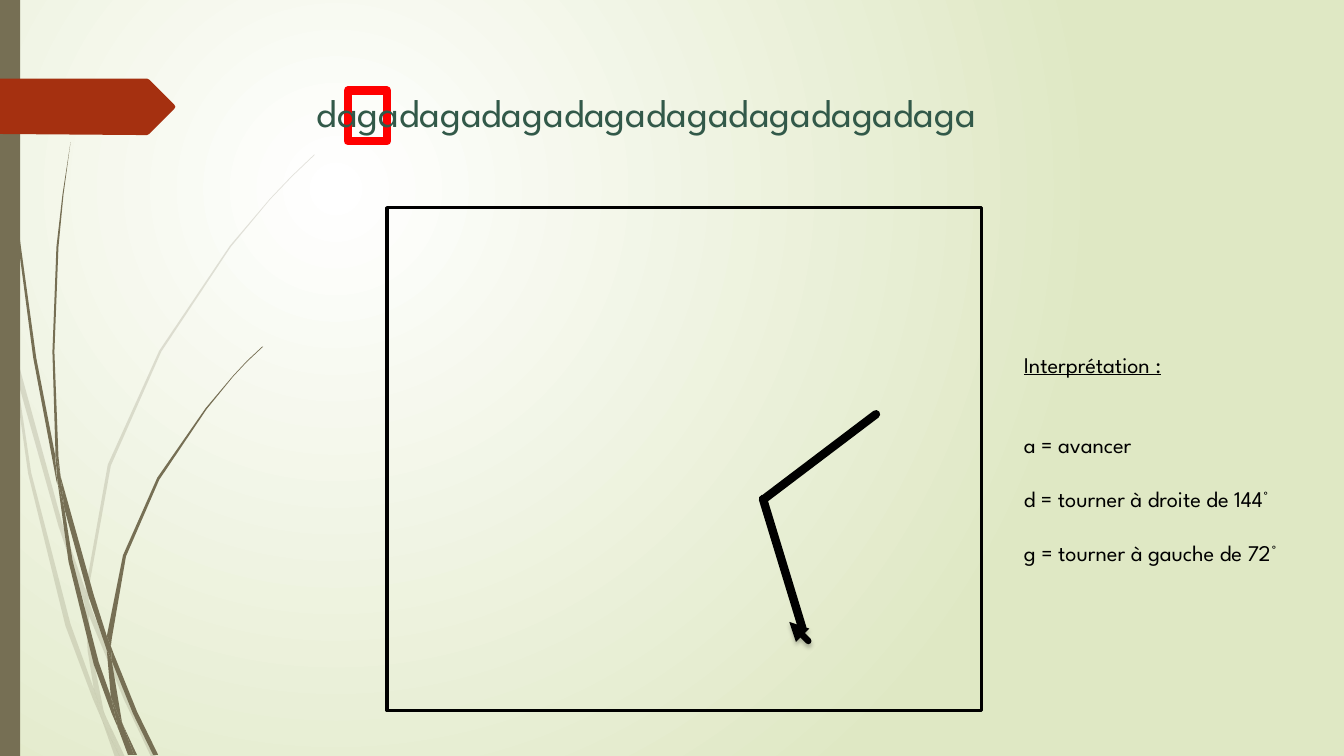
from lxml.etree import SubElement
from pptx import Presentation
from pptx.dml.color import RGBColor
from pptx.enum.shapes import MSO_CONNECTOR, MSO_SHAPE
from pptx.enum.text import PP_ALIGN
from pptx.oxml.ns import qn
from pptx.util import Pt

WHITE = RGBColor(0xFF, 0xFF, 0xFF)
PALE_GREEN = RGBColor(0xDF, 0xE8, 0xC4)
OLIVE = RGBColor(0x76, 0x6F, 0x54)
RUST = RGBColor(0xA5, 0x30, 0x10)
DARK_GREEN = RGBColor(0x32, 0x59, 0x49)
BLACK = RGBColor(0, 0, 0)
RED = RGBColor(0xFF, 0, 0)
FONT = "League Spartan"
GRID = Pt(0.72)  # outline unit: a hundredth of an inch

# Grass outlines, one piece per list
PALE_GRASS = [
    [(11, 350), (9, 322), (0, 282), (0, 299), (10, 344)],
    [(58, 522), (84, 599), (85, 586), (62, 520), (14, 345), (17, 376)],
    [(92, 607), (88, 596), (88, 610), (123, 694), (150, 751), (155, 751), (127, 692)],
    [(119, 751), (124, 751), (105, 711)],
    [(93, 683), (70, 619), (31, 469), (17, 376), (11, 350), (28, 470), (65, 621),
     (92, 693), (101, 714), (99, 707)],
    [(84, 599), (87, 646), (93, 683), (96, 692), (105, 711), (103, 706), (91, 646),
     (88, 610), (88, 608)],
    [(88, 584), (110, 462), (160, 349), (229, 245), (268, 198), (290, 175), (312, 154),
     (312, 153), (289, 175), (268, 197), (228, 244), (158, 348), (107, 461), (85, 584),
     (85, 586), (88, 596)],
    [(101, 714), (114, 751), (119, 751)],
    [(88, 608), (88, 610), (88, 596), (85, 586), (84, 599)],
    [(96, 692), (93, 683), (99, 707), (101, 714), (119, 751), (105, 711)],
]
DARK_GRASS = [
    [(7, 110), (17, 233), (33, 355), (56, 477), (57, 481), (55, 457), (55, 453),
     (36, 355), (19, 232), (8, 109), (5, 48), (4, 0), (3, 0), (4, 48)],
    [(88, 592), (106, 645), (106, 633), (106, 631), (93, 590), (60, 472), (64, 505)],
    [(113, 649), (110, 641), (111, 656), (132, 708), (152, 749), (157, 749), (136, 706)],
    [(110, 691), (98, 657), (72, 556), (64, 505), (57, 477), (68, 557), (93, 659),
     (111, 708), (117, 722), (116, 717)],
    [(60, 472), (58, 453), (54, 349), (58, 245), (63, 193), (70, 141), (62, 193),
     (56, 245), (52, 349), (55, 449)],
    [(133, 749), (136, 749), (122, 719)],
    [(57, 477), (64, 505), (60, 472), (55, 449), (55, 453)],
    [(111, 633), (125, 552), (158, 476), (205, 406), (231, 374), (245, 359), (261, 344),
     (260, 344), (245, 358), (231, 373), (204, 405), (156, 474), (122, 551), (106, 631),
     (110, 641)],
    [(117, 722), (127, 749), (131, 749)],
    [(106, 645), (110, 691), (116, 706), (122, 719), (121, 716), (111, 656), (109, 651)],
    [(106, 645), (109, 651), (111, 656), (110, 641), (106, 631), (106, 633)],
    [(116, 706), (110, 691), (116, 717), (117, 722), (130, 749), (133, 749), (122, 719)],
]
RIBBON = [(0, 78), (146, 78), (148, 79), (173, 104), (174, 106), (173, 108),
          (148, 133), (146, 134), (136, 134), (0, 133)]

deck = Presentation()
deck.slide_width, deck.slide_height = Pt(960), Pt(540)
page = deck.slides.add_slide(deck.slide_layouts[6])


def add_outline(shapes, points, color, opacity=100):
    builder = shapes.build_freeform(*points[0], scale=GRID)
    builder.add_line_segments(points[1:], close=True)
    outline = builder.convert_to_shape()
    outline.shadow.inherit = False
    outline.fill.solid()
    outline.fill.fore_color.rgb = color
    outline.line.fill.background()
    if opacity < 100:
        tint = outline.fill._xPr.find(".//" + qn("a:srgbClr"))
        SubElement(tint, qn("a:alpha"), val=str(opacity * 1000))


def add_text(para, text, size=16, color=BLACK, underline=None, before=0, align=None):
    span = para.add_run()
    span.text = text
    span.font.name, span.font.size = FONT, Pt(size)
    span.font.color.rgb = color
    span.font.underline = underline
    para.alignment = align
    if before:
        para.space_before = Pt(before)


# Background: a glow spreading from the upper left
backdrop = page.background.fill
backdrop.gradient()
for stop, position, color in zip(backdrop.gradient_stops, (0, 1), (WHITE, PALE_GREEN)):
    stop.position = position
    stop.color.rgb = color
gradient = page.background._cSld.find(".//" + qn("a:gradFill"))
gradient.remove(gradient.find(qn("a:lin")))
glow = SubElement(gradient, qn("a:path"), path="circle")
SubElement(glow, qn("a:fillToRect"), l="50000", t="50000", r="100000", b="100000")

# Grass
for pieces, opacity in ((PALE_GRASS, 20), (DARK_GRASS, 100)):
    grass = page.shapes.add_group_shape()
    for piece in pieces:
        add_outline(grass.shapes, piece, OLIVE, opacity)

# Side bar and ribbon
bar = page.shapes.add_shape(MSO_SHAPE.RECTANGLE, 0, 0, Pt(14.4), Pt(540))
bar.shadow.inherit = False
bar.fill.solid()
bar.fill.fore_color.rgb = OLIVE
bar.line.fill.background()
add_outline(page.shapes, RIBBON, RUST)

# Drawing area and frame around the current letter
for left, top, width, height, color, weight in (
    (276.5, 148.3, 424.8, 359.3, BLACK, 2.25),
    (248.4, 64.8, 28.1, 36, RED, 6),
):
    frame = page.shapes.add_shape(
        MSO_SHAPE.RECTANGLE, Pt(left), Pt(top), Pt(width), Pt(height))
    frame.shadow.inherit = False
    frame.fill.background()
    frame.line.color.rgb = color
    frame.line.width = Pt(weight)

# Turtle arrow and the two strokes drawn so far
for x1, y1, x2, y2, weight, is_turtle in (
    (577.4, 457.9, 563.8, 444.2, 4.5, True),
    (625.7, 295.9, 545.8, 356.4, 6, False),
    (545, 356.4, 573.1, 448.6, 6, False),
):
    stroke = page.shapes.add_connector(
        MSO_CONNECTOR.STRAIGHT, Pt(x1), Pt(y1), Pt(x2), Pt(y2))
    stroke.line.color.rgb = BLACK
    stroke.line.width = Pt(weight)
    line = stroke.line._get_or_add_ln()
    line.set("cap", "rnd")
    SubElement(line, qn("a:round"))
    effects = SubElement(stroke._element.spPr, qn("a:effectLst"))
    if is_turtle:
        SubElement(line, qn("a:tailEnd"), type="triangle")
        shadow = SubElement(effects, qn("a:outerShdw"), blurRad=str(Pt(3)),
                            dist=str(Pt(2)), dir="5400000", rotWithShape="0")
        shade = SubElement(shadow, qn("a:srgbClr"), val="000000")
        SubElement(shade, qn("a:alpha"), val="25000")

# Legend
legend = page.shapes.add_textbox(Pt(724.3), Pt(247), Pt(235.4), Pt(162.7)).text_frame
legend.word_wrap = True
add_text(legend.paragraphs[0], "Interprétation :", underline=True)
for rule, before in (
    ("a = avancer", 38.4),
    ("d = tourner à droite de 144°", 19.2),
    ("g = tourner à gauche de 72°", 19.2),
):
    add_text(legend.add_paragraph(), rule, before=before)

# Word being interpreted
word = page.shapes.add_textbox(Pt(88.6), Pt(59.8), Pt(746.6), Pt(41)).text_frame
word.word_wrap = True
add_text(word.paragraphs[0], "daga" * 8, size=28, color=DARK_GREEN, align=PP_ALIGN.CENTER)

deck.save("out.pptx")
